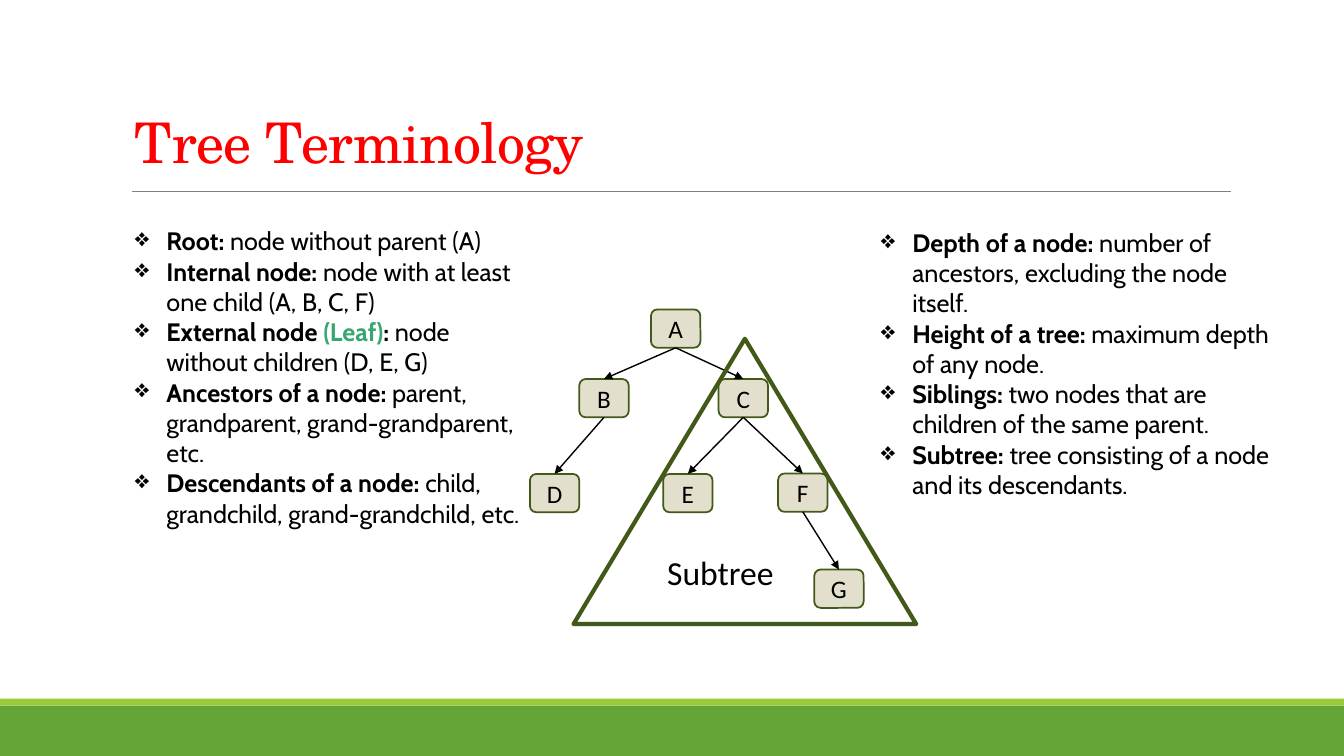
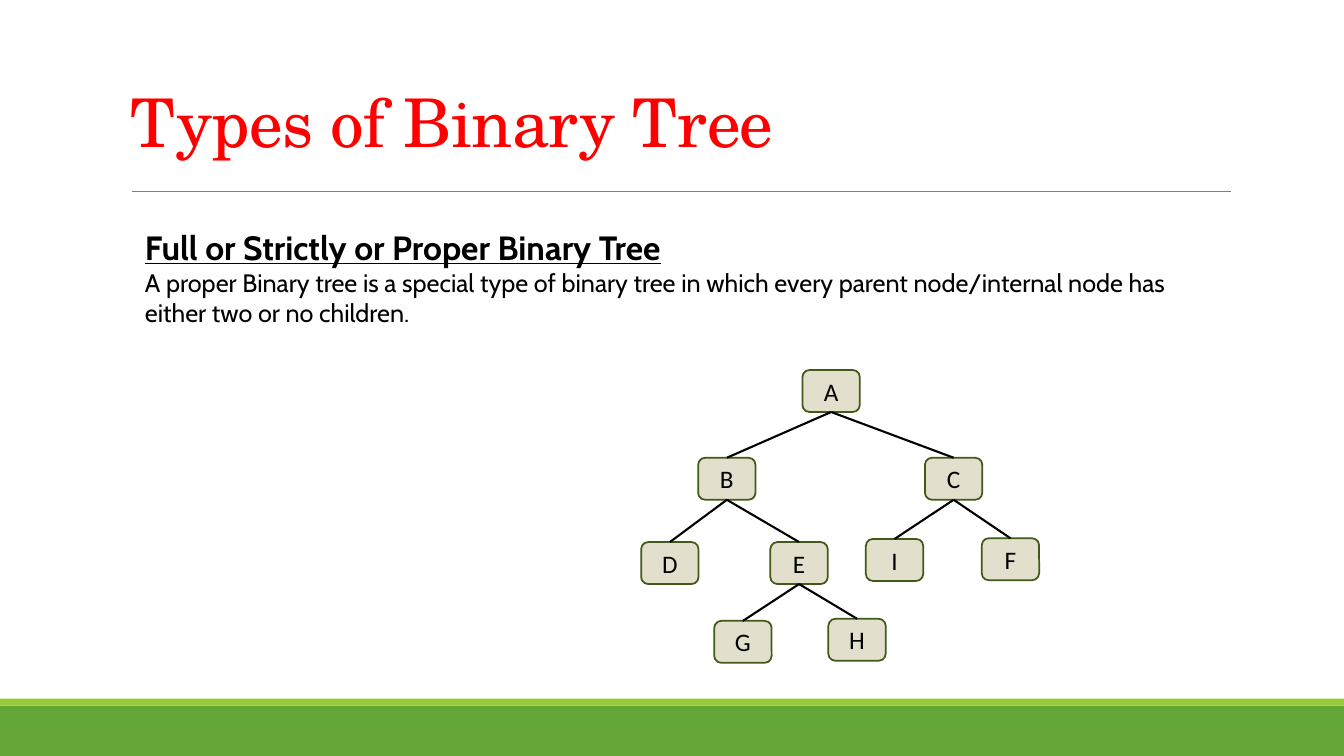
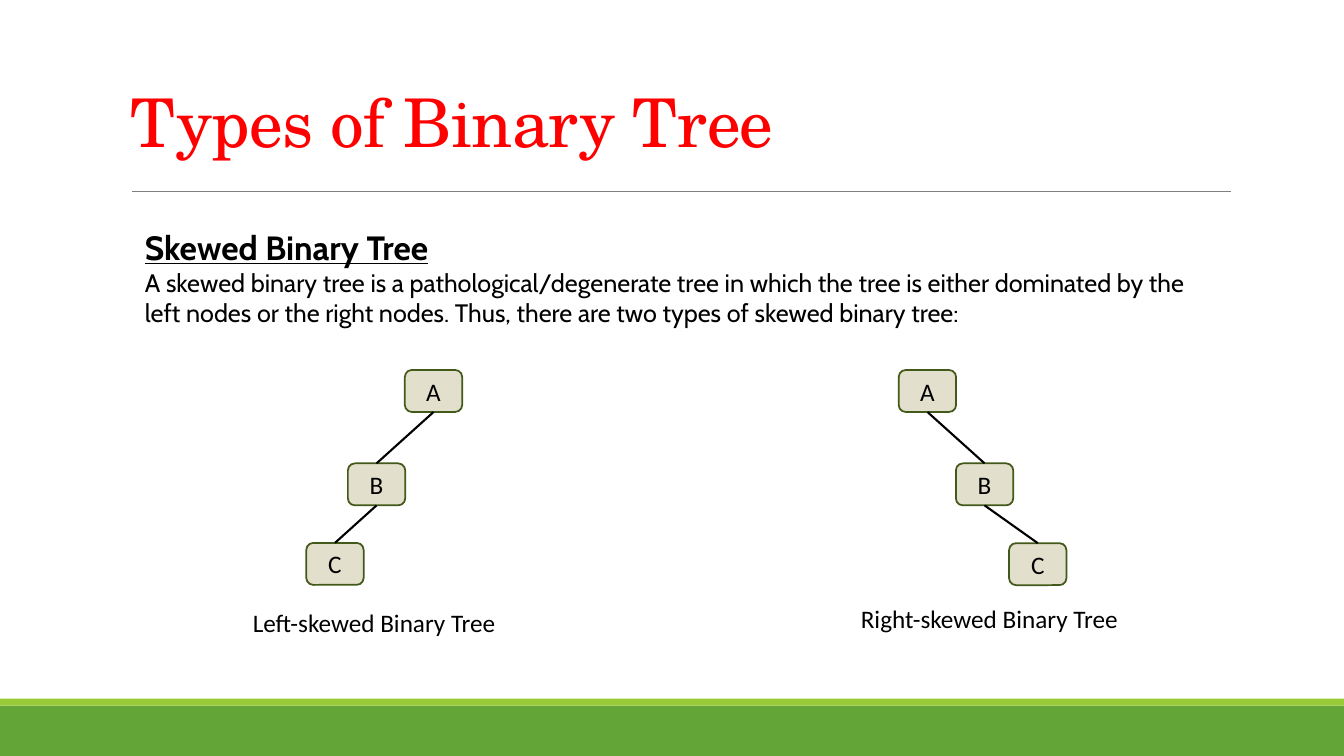
"""Build three slides on tree terminology and types of binary tree."""
import pptx
import pptx.dml.color
import pptx.enum.shapes
import pptx.enum.text
import pptx.oxml
import pptx.oxml.ns
import pptx.util

Pt = pptx.util.Pt
SHAPE = pptx.enum.shapes.MSO_SHAPE
STRAIGHT = pptx.enum.shapes.MSO_CONNECTOR.STRAIGHT
ANCHOR = pptx.enum.text.MSO_ANCHOR
WIDTH, HEIGHT = 960, 540
BLACK, RED, LEAF_GREEN = "000000", "FF0000", "37A76F"
NODE_FILL, NODE_LINE = "E2DFCC", "435919"


def color(target, value):
    """Set a fill, line or font to a solid hex colour."""
    if hasattr(target, "solid"):
        target.solid()
        target = target.fore_color
    elif hasattr(target, "color"):
        target = target.color
    target.rgb = pptx.dml.color.RGBColor.from_string(value)


def add_text(slide, box, paragraphs, font="Calibri", bullet=None, wrap=True):
    """Add a text box; each paragraph is a list of (text, size, bold, colour) runs."""
    shape = slide.shapes.add_textbox(*(Pt(length) for length in box))
    text_frame = shape.text_frame
    text_frame.word_wrap = wrap
    for number, runs in enumerate(paragraphs):
        paragraph = text_frame.add_paragraph() if number else text_frame.paragraphs[0]
        if bullet:
            properties = paragraph._p.get_or_add_pPr()
            properties.set("marL", str(Pt(22.5)))
            properties.set("indent", str(-Pt(22.5)))
            character = pptx.oxml.ns.qn("a:buChar")
            properties.append(properties.makeelement(character, {"char": bullet}))
        for text, size, bold, value in runs:
            run = paragraph.add_run()
            run.text = text
            run.font.name, run.font.size, run.font.bold = font, Pt(size), bold
            color(run.font, value)
    return shape


BANDS = [(0, 504, WIDTH, 36, "63A537"), (0, 499, WIDTH, 5, "99CB38")]
SMALL_NODE, LARGE_NODE = (35.3, 27.4), (41, 30)

terminology_tree = {
    "node": SMALL_NODE, "line": 1, "arrow": True,
    "places": {"A": (465, 221), "B": (413.8, 270.7), "C": (513.3, 270.7),
               "D": (378.5, 338.5), "E": (473.7, 338.5), "F": (555.8, 338.2),
               "G": (581.6, 406.8)},
    "edges": "AB AC BD CE CF FG",
}
full_tree = {
    "node": LARGE_NODE, "line": 1.5, "arrow": False,
    "places": {"A": (573.2, 264.3), "B": (498.7, 327), "C": (660.7, 327),
               "D": (458, 387.2), "E": (550.3, 387.2), "F": (701.3, 384.5),
               "I": (618.5, 385), "H": (591.7, 442), "G": (510.2, 443.5)},
    "edges": "AB AC BD BE CF CI EH EG",
}
left_tree = {
    "node": LARGE_NODE, "line": 1.5, "arrow": False,
    "places": {"A": (289.2, 264.3), "B": (248.5, 331), "C": (218.8, 387.8)},
    "edges": "AB BC",
}
right_tree = {
    **left_tree,
    "places": {"A": (642, 264.3), "B": (682.8, 331), "C": (720.8, 388)},
}
SLIDES = [
    ("Tree Terminology", 40, (89.3, 13.7, 825, 114.5), [terminology_tree]),
    ("Types of Binary Tree", 48, (86.4, 4.3, 792, 114.5), [full_tree]),
    ("Types of Binary Tree", 48, (86.4, 4.3, 792, 114.5), [left_tree, right_tree]),
]

presentation = pptx.Presentation()
presentation.slide_width, presentation.slide_height = Pt(WIDTH), Pt(HEIGHT)
slides = []

for title, title_size, title_box, trees in SLIDES:
    slide = presentation.slides.add_slide(presentation.slide_layouts[6])
    slides.append(slide)
    for left, top, width, height, value in BANDS:
        band = slide.shapes.add_shape(
            SHAPE.RECTANGLE, Pt(left), Pt(top), Pt(width), Pt(height))
        band.shadow.inherit = False
        color(band.fill, value)
        band.line.fill.background()
    rule = slide.shapes.add_connector(STRAIGHT, Pt(94.3), Pt(136.8), Pt(879), Pt(136.8))
    rule.line.width = Pt(0.5)
    color(rule.line, "808080")
    rule._element.spPr.append(pptx.oxml.parse_xml(
        f"<a:effectLst {pptx.oxml.ns.nsdecls('a')}/>"))

    heading = add_text(slide, title_box, [[(title, title_size, False, RED)]],
                       "TeX Gyre Schola")
    heading.text_frame.vertical_anchor = ANCHOR.BOTTOM
    paragraph = heading.text_frame.paragraphs[0]
    paragraph.line_spacing = 0.85
    paragraph.runs[0]._r.get_or_add_rPr().set("spc", "-50")

    for tree in trees:
        nodes = {}
        for name, place in tree["places"].items():
            node = slide.shapes.add_shape(
                SHAPE.ROUNDED_RECTANGLE, *(Pt(length) for length in place + tree["node"]))
            node.shadow.inherit = False
            color(node.fill, NODE_FILL)
            color(node.line, NODE_LINE)
            node.line.width = Pt(1.25)
            node.text_frame.text = name
            node.text_frame.word_wrap = False
            node.text_frame.vertical_anchor = ANCHOR.MIDDLE
            paragraph = node.text_frame.paragraphs[0]
            paragraph.alignment = pptx.enum.text.PP_ALIGN.CENTER
            font = paragraph.runs[0].font
            font.name, font.size = "Calibri", Pt(18)
            color(font, BLACK)
            nodes[name] = node
        for parent, child in tree["edges"].split():
            edge = slide.shapes.add_connector(STRAIGHT, 0, 0, 0, 0)
            edge.begin_connect(nodes[parent], 2)
            edge.end_connect(nodes[child], 0)
            edge.line.width = Pt(tree["line"])
            color(edge.line, BLACK)
            if tree["arrow"]:
                edge.line._get_or_add_ln().append(pptx.oxml.parse_xml(
                    f"<a:tailEnd {pptx.oxml.ns.nsdecls('a')} type='triangle'/>"))
            edge._element.spPr.append(pptx.oxml.parse_xml(
                f"<a:effectLst {pptx.oxml.ns.nsdecls('a')}/>"))

terminology, full, skewed = slides

left_terms = [
    [("Root: ", BLACK), ("node without parent (A)", None)],
    [("Internal node: ", BLACK), ("node with at least one child (A, B, C, F)", None)],
    [("External node ", BLACK), ("(Leaf)", LEAF_GREEN), (": ", BLACK),
     ("node without children (D, E, G)", None)],
    [("Ancestors of a node: ", BLACK),
     ("parent, grandparent, grand-grandparent, etc.", None)],
    [("Descendants of a node: ", BLACK),
     ("child, grandchild, grand-grandchild, etc.", None)],
]
right_terms = [
    [("Depth of a node: ", BLACK),
     ("number of ancestors, excluding the node itself.", None)],
    [("Height of a tree: ", BLACK), ("maximum depth of any node.", None)],
    [("Siblings: ", BLACK), ("two nodes that are children of the same parent.", None)],
    [("Subtree: ", BLACK), ("tree consisting of a node and its descendants.", None)],
]
for left, top, height, terms in [(89.3, 157.7, 269, left_terms),
                                 (622.1, 158.8, 204, right_terms)]:
    paragraphs = [[(text, 18, term_color is not None, term_color or BLACK)
                   for text, term_color in term] for term in terms]
    add_text(terminology, (left, top, 292, height), paragraphs, "Cabin", "❖")

subtree = terminology.shapes.add_shape(
    SHAPE.ISOSCELES_TRIANGLE, Pt(409.7), Pt(242), Pt(244.8), Pt(203.8))
subtree.shadow.inherit = False
subtree.fill.background()
subtree.line.width = Pt(3)
color(subtree.line, NODE_LINE)

for slide, name, description in [
    (full, "Full or Strictly or Proper Binary Tree",
     "A proper Binary tree is a special type of binary tree in which every parent "
     "node/internal node has either two or no children."),
    (skewed, "Skewed Binary Tree",
     "A skewed binary tree is a pathological/degenerate tree in which the tree is either "
     "dominated by the left nodes or the right nodes. Thus, there are two types of "
     "skewed binary tree:"),
]:
    definition = add_text(
        slide, (96.4, 158.4, 782, 80),
        [[(name, 24, True, BLACK)], [(description, 18, False, BLACK)]], "Cabin")
    definition.text_frame.paragraphs[0].runs[0].font.underline = True

for slide, box, caption, size in [
    (terminology, (469.5, 391, 91.4, 36), "Subtree", 24),
    (skewed, (173.5, 430, 190.8, 29), "Left-skewed Binary Tree", 18),
    (skewed, (607.8, 427.5, 203, 29), "Right-skewed Binary Tree", 18),
]:
    add_text(slide, box, [[(caption, size, False, BLACK)]], wrap=False)

presentation.save("out.pptx")
